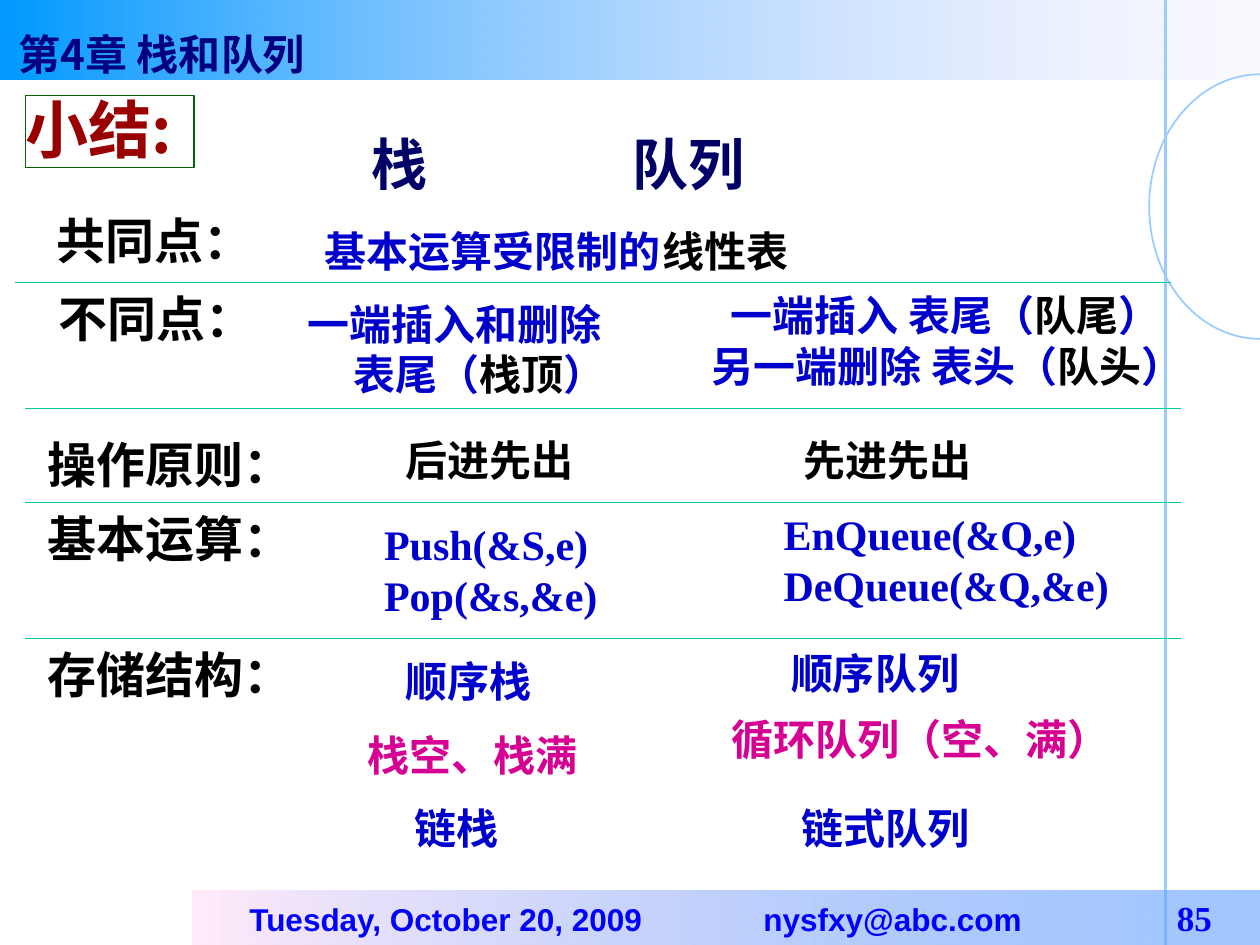
import math
from dataclasses import dataclass

import pptx
import pptx.dml.color
import pptx.enum.dml
import pptx.enum.shapes
import pptx.enum.text
import pptx.oxml
import pptx.oxml.ns
import pptx.util

Inches = pptx.util.Inches
Align = pptx.enum.text.PP_ALIGN

CJK = "Noto Sans CJK SC"
SERIF = "Times New Roman"
BLACK, BLUE, MAGENTA = "000000", "0000CC", "D60093"
SKY, GREEN = "99CCFF", "00CC99"


@dataclass
class Run:
    text: str
    color: str = BLUE
    size: float = 24
    font: str = SERIF


@dataclass
class Line:
    runs: list[Run]
    align: Align = Align.LEFT
    indent: float = 0
    tabs: tuple[float, ...] = ()
    spacing: float = 1.0


@dataclass
class Block:
    left: float
    top: float
    width: float
    height: float
    lines: list[Line]


def rgb(value: str) -> pptx.dml.color.RGBColor:
    return pptx.dml.color.RGBColor.from_string(value)


def sub(parent, tag: str, **attributes: str):
    """Append a child element to parent and return it."""
    element = parent.makeelement(pptx.oxml.ns.qn(tag), attributes)
    parent.append(element)
    return element


def write(frame, lines: list[Line]) -> None:
    for index, line in enumerate(lines):
        paragraph = frame.paragraphs[0] if index == 0 else frame.add_paragraph()
        paragraph.alignment = line.align
        paragraph.line_spacing = line.spacing
        properties = paragraph._p.get_or_add_pPr()
        if line.indent:
            properties.set("marL", str(Inches(line.indent)))
            properties.set("indent", "0")
        if line.tabs:
            stops = sub(properties, "a:tabLst")
            for stop in line.tabs:
                sub(stops, "a:tab", pos=str(Inches(stop)), algn="l")
        for part in line.runs:
            run = paragraph.add_run()
            run.text = part.text
            style = {"size": pptx.util.Pt(part.size), "name": part.font, "bold": True}
            for attribute, value in style.items():
                setattr(run.font, attribute, value)
            run.font.color.rgb = rgb(part.color)
            sub(run._r.get_or_add_rPr(), "a:ea", typeface=CJK)


def add_block(slide, block: Block) -> None:
    box = slide.shapes.add_textbox(*map(Inches, (block.left, block.top, block.width, block.height)))
    box.text_frame.word_wrap = True
    write(box.text_frame, block.lines)


def add_rectangle(slide, left: float, top: float, width: float, height: float):
    shape = slide.shapes.add_shape(
        pptx.enum.shapes.MSO_SHAPE.RECTANGLE, *map(Inches, (left, top, width, height)))
    shape.shadow.inherit = False
    shape.line.fill.background()
    return shape


def fade(shape, start: str, end: str, end_opacity: int) -> None:
    """Fill from left to right, with the end colour partly transparent."""
    shape.fill.gradient()
    shape.fill.gradient_angle = 0
    for stop, color, position in zip(shape.fill.gradient_stops, (start, end), (0, 1)):
        stop.color.rgb = rgb(color)
        stop.position = position
    end_color = list(shape._element.spPr.iter(pptx.oxml.ns.qn("a:srgbClr")))[-1]
    sub(end_color, "a:alpha", val=str(end_opacity * 1000))


def add_rule(slide, x1: float, y1: float, x2: float, y2: float, color: str, weight: float) -> None:
    rule = slide.shapes.add_connector(
        pptx.enum.shapes.MSO_CONNECTOR.STRAIGHT, *map(Inches, (x1, y1, x2, y2)))
    rule.line.color.rgb = rgb(color)
    rule.line.width = pptx.util.Pt(weight)
    sub(rule._element.spPr, "a:effectLst")


def add_half_ellipse(slide, center_x: float, center_y: float, radius_x: float, radius_y: float) -> None:
    points = [
        (Inches(center_x - radius_x * math.sin(math.radians(angle))),
         Inches(center_y - radius_y * math.cos(math.radians(angle))))
        for angle in range(0, 181, 3)
    ]
    builder = slide.shapes.build_freeform(*points[0])
    builder.add_line_segments(points[1:], close=False)
    curve = builder.convert_to_shape()
    curve.shadow.inherit = False
    curve.fill.background()
    curve.line.color.rgb = rgb(SKY)
    curve.line.width = pptx.util.Pt(1)


def single(left: float, top: float, width: float, text: str, color: str = BLUE, size: float = 24) -> Block:
    return Block(left, top, width, 0.57 if size > 24 else 0.5, [Line([Run(text, color, size)])])


def add_background(slide) -> None:
    fade(add_rectangle(slide, 0, 0, 10, 0.63), "0099FF", "CCCCFF", 10)
    add_half_ellipse(slide, 10, 1.64, 0.88, 1.05)
    add_rule(slide, 9.25, 0, 9.25, 7.5, SKY, 1.5)
    footer = add_rectangle(slide, 1.53, 7.07, 8.47, 0.43)
    fade(footer, "FFEBFA", "5E9EFF", 58)
    footer.text_frame.margin_left = Inches(0.45)
    footer.text_frame.vertical_anchor = pptx.enum.text.MSO_ANCHOR.MIDDLE
    write(footer.text_frame, [Line([
        Run("Tuesday, October 20, 2009\tnysfxy@abc.com\t", "0000FF", 18, "Arial"),
        Run("85", "0000FF", 20)], tabs=(4.08, 7.36))])
    add_block(slide, Block(0.05, 0.18, 2.7, 0.34, [
        Line([Run("第4章 栈和队列", "000080", 24, CJK)])]))


def add_summary_title(slide) -> None:
    title = add_rectangle(slide, 0.2, 0.76, 1.34, 0.57)
    title.fill.solid()
    title.fill.fore_color.rgb = rgb("FFFFFF")
    title.line.color.rgb = rgb("006600")
    title.line.width = pptx.util.Pt(0.75)
    frame = title.text_frame
    for side in ("left", "top", "right", "bottom"):
        setattr(frame, f"margin_{side}", 0)
    frame.vertical_anchor = pptx.enum.text.MSO_ANCHOR.TOP
    write(frame, [Line([Run("小结:", "990000", 36, CJK)], spacing=0.95)])


def main() -> None:
    deck = pptx.Presentation()
    deck.slide_width, deck.slide_height = Inches(10), Inches(7.5)
    slide = deck.slides.add_slide(deck.slide_layouts[6])
    add_background(slide)
    add_summary_title(slide)

    row_labels = [
        (0.35, 1.62, "共同点："), (0.37, 2.24, "不同点："), (0.28, 3.4, "操作原则："),
        (0.28, 3.99, "基本运算："), (0.28, 5.07, "存储结构："),
    ]
    comparison = [
        Block(2.85, 0.98, 5.69, 0.64, [
            Line([Run("栈\t队列", "000066", 32, CJK)], tabs=(2.07,))]),
        single(5.16, 1.74, 1.65, "线性表", BLACK),
        single(2.48, 1.74, 3.07, "基本运算受限制的"),
        Block(2.16, 2.32, 2.9, 0.9, [
            Line([Run("一端插入和删除")], Align.CENTER),
            Line([Run("表尾（"), Run("栈顶", BLACK), Run("）")], Align.CENTER, indent=0.4)]),
        Block(5.55, 2.25, 4.3, 0.9, [
            Line([Run("一端插入 表尾（", font=CJK), Run("队尾", BLACK, font=CJK), Run("）", font=CJK)],
                 indent=0.15),
            Line([Run("另一端删除 表头（", font=CJK), Run("队头", BLACK, font=CJK), Run("）", font=CJK)])]),
        single(3.12, 3.4, 1.88, "后进先出", BLACK),
        single(6.28, 3.4, 1.86, "先进先出", BLACK),
        Block(2.95, 4.07, 2.3, 0.9, [Line([Run("Push(&S,e)")]), Line([Run("Pop(&s,&e)")])]),
        Block(6.12, 3.99, 2.95, 0.9, [Line([Run("EnQueue(&Q,e)")]), Line([Run("DeQueue(&Q,&e)")])]),
        single(3.12, 5.15, 1.57, "顺序栈"),
        single(3.19, 6.32, 1.1, "链栈"),
        single(6.18, 5.09, 2.2, "顺序队列"),
        single(5.71, 5.61, 3.47, "循环队列（空、满）", MAGENTA),
        single(6.26, 6.32, 2.44, "链式队列"),
        single(2.82, 5.74, 2.02, "栈空、栈满", MAGENTA),
    ]
    for left, top, label in row_labels:
        add_block(slide, single(left, top, 2.4, label, BLACK, 28))
    for block in comparison:
        add_block(slide, block)
    for left, y in ((0.12, 2.24), (0.2, 3.24), (0.2, 3.99), (0.2, 5.07)):
        add_rule(slide, left, y, left + 9.17, y, GREEN, 0.75)

    deck.save("out.pptx")


if __name__ == "__main__":
    main()
